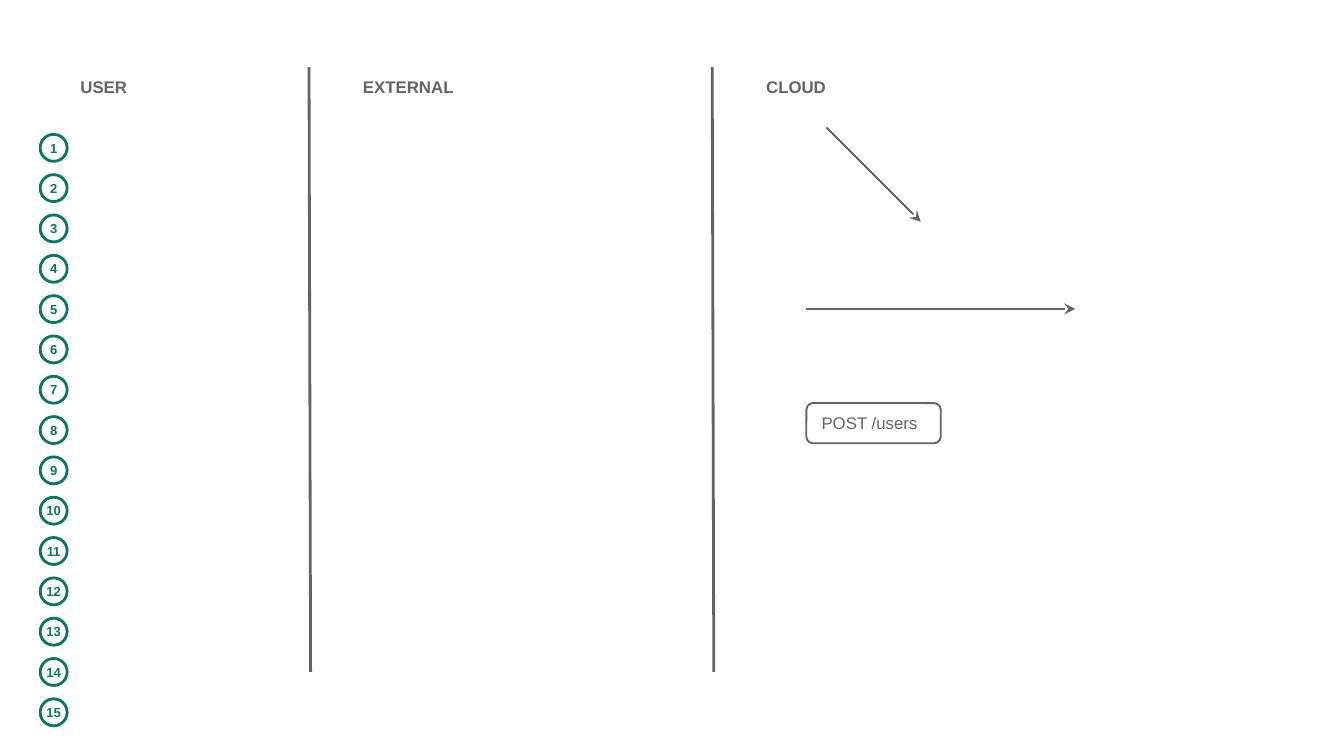
from collections import namedtuple

from lxml.etree import SubElement
from pptx import Presentation
from pptx.dml.color import RGBColor
from pptx.enum.shapes import MSO_CONNECTOR, MSO_SHAPE
from pptx.enum.text import MSO_ANCHOR, PP_ALIGN
from pptx.oxml.ns import qn
from pptx.util import Cm, Pt

Box = namedtuple("Box", "left top width height")

GREY = "646365"
GREEN = "0C755F"
WHITE = "FFFFFF"
STEP_COUNT = 15


def color(hex_value):
    return RGBColor.from_string(hex_value)


def write(shape, text, size, hex_value, bold=False, align=PP_ALIGN.LEFT, insets=(0, 0)):
    frame = shape.text_frame
    frame.vertical_anchor = MSO_ANCHOR.MIDDLE
    frame.margin_left = frame.margin_right = Cm(insets[0])
    frame.margin_top = frame.margin_bottom = Cm(insets[1])
    para = frame.paragraphs[0]
    para.text = text
    para.alignment = align
    para.font.name = "Arial"
    para.font.size = Pt(size)
    para.font.bold = bold
    para.font.color.rgb = color(hex_value)


def add_outlined(page, kind, box, hex_value, weight):
    shape = page.shapes.add_shape(kind, *map(Cm, box))
    shape.shadow.inherit = False
    shape.fill.solid()
    shape.fill.fore_color.rgb = color(WHITE)
    shape.line.color.rgb = color(hex_value)
    shape.line.width = Pt(weight)
    return shape


def add_line(page, box, weight, arrow=False):
    left, top, width, height = box
    line = page.shapes.add_connector(
        MSO_CONNECTOR.STRAIGHT, Cm(left), Cm(top), Cm(left + width), Cm(top + height))
    line.line.color.rgb = color(GREY)
    line.line.width = Pt(weight)
    properties = line._element.spPr
    if arrow:
        SubElement(properties.find(qn("a:ln")), qn("a:tailEnd"), type="stealth")
    SubElement(properties, qn("a:effectLst"))


def add_lane(page, box, name, label_width, divided):
    label = page.shapes.add_textbox(
        Cm(box.left + 1.02), Cm(box.top), Cm(label_width), Cm(0.76))
    label.text_frame.word_wrap = True
    write(label, name, 9, GREY, bold=True)
    if divided:
        add_line(page, Box(box.left, box.top, 0.03, box.height), 1.5)


def add_steps(page, box):
    pitch = (box.height - box.width) / (STEP_COUNT - 1)
    for index in range(STEP_COUNT):
        circle_box = Box(box.left, box.top + index * pitch, box.width, box.width)
        circle = add_outlined(page, MSO_SHAPE.OVAL, circle_box, GREEN, 1.5)
        circle.text_frame.word_wrap = False
        write(circle, str(index + 1), 7, GREEN, bold=True, align=PP_ALIGN.CENTER)


def add_cloud_parts(page, box):
    add_line(page, Box(box.left, box.top + 3.43, box.width, 0), 1, arrow=True)
    add_line(page, Box(box.left + 0.38, box.top, 1.78, 1.78), 1, arrow=True)
    request_box = Box(box.left, box.top + 5.21, box.width / 2, 0.76)
    request = add_outlined(page, MSO_SHAPE.ROUNDED_RECTANGLE, request_box, GREY, 1)
    write(request, "POST /users", 9, GREY, insets=(0.25, 0.13))


def main():
    deck = Presentation()
    deck.slide_width, deck.slide_height = Cm(25.4), Cm(14.29)
    page = deck.slides.add_slide(deck.slide_layouts[6])

    lanes = [("USER", 0.5, 5.34, 1.02), ("EXTERNAL", 5.84, 7.62, 1.9),
             ("CLOUD", 13.46, 11.94, 1.9)]
    for index, (name, left, width, label_width) in enumerate(lanes):
        add_lane(page, Box(left, 1.27, width, 11.43), name, label_width, index > 0)

    add_cloud_parts(page, Box(15.24, 2.41, 5.08, 5.97))
    add_steps(page, Box(0.76, 2.54, 0.51, 11.18))
    deck.save("out.pptx")


if __name__ == "__main__":
    main()
